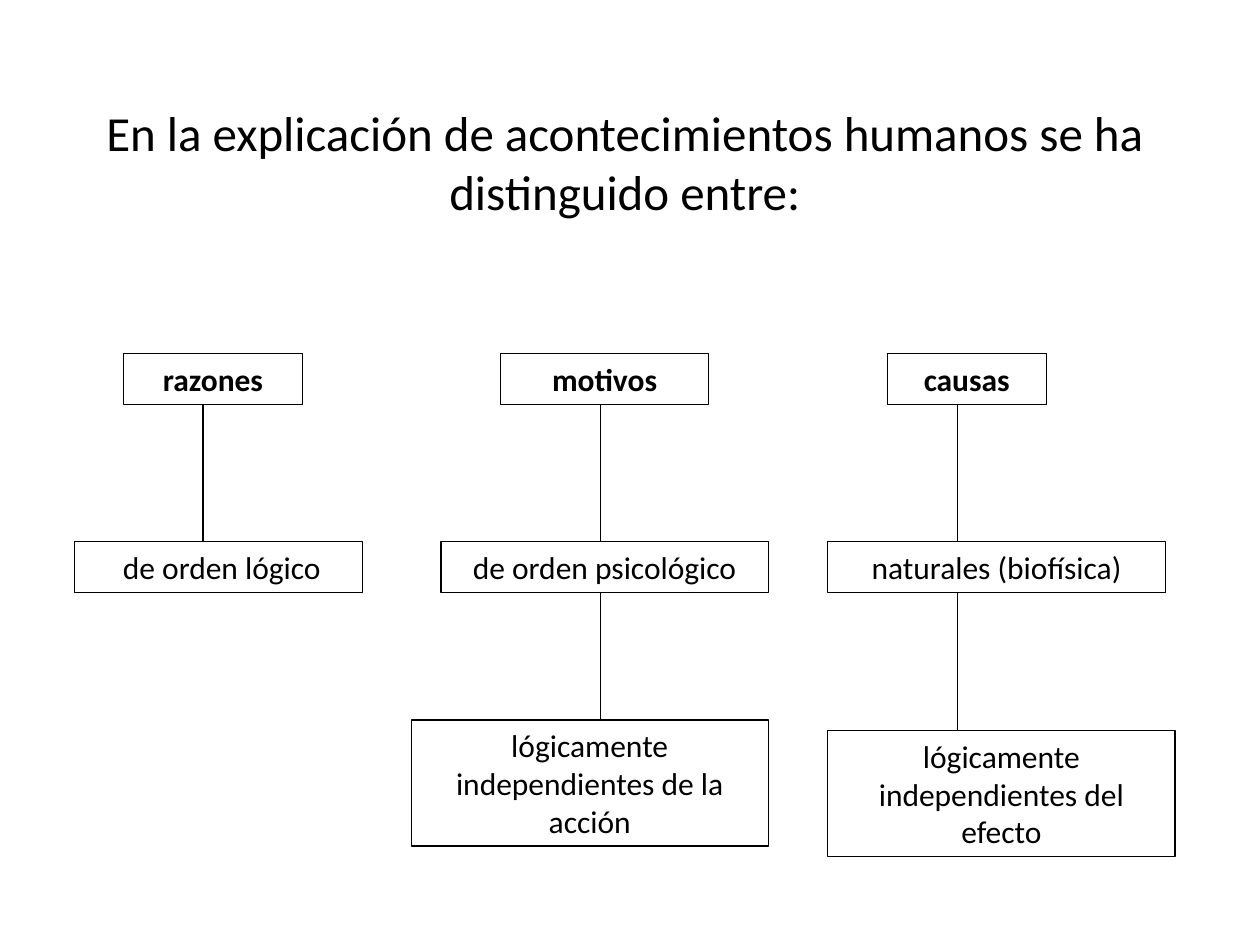
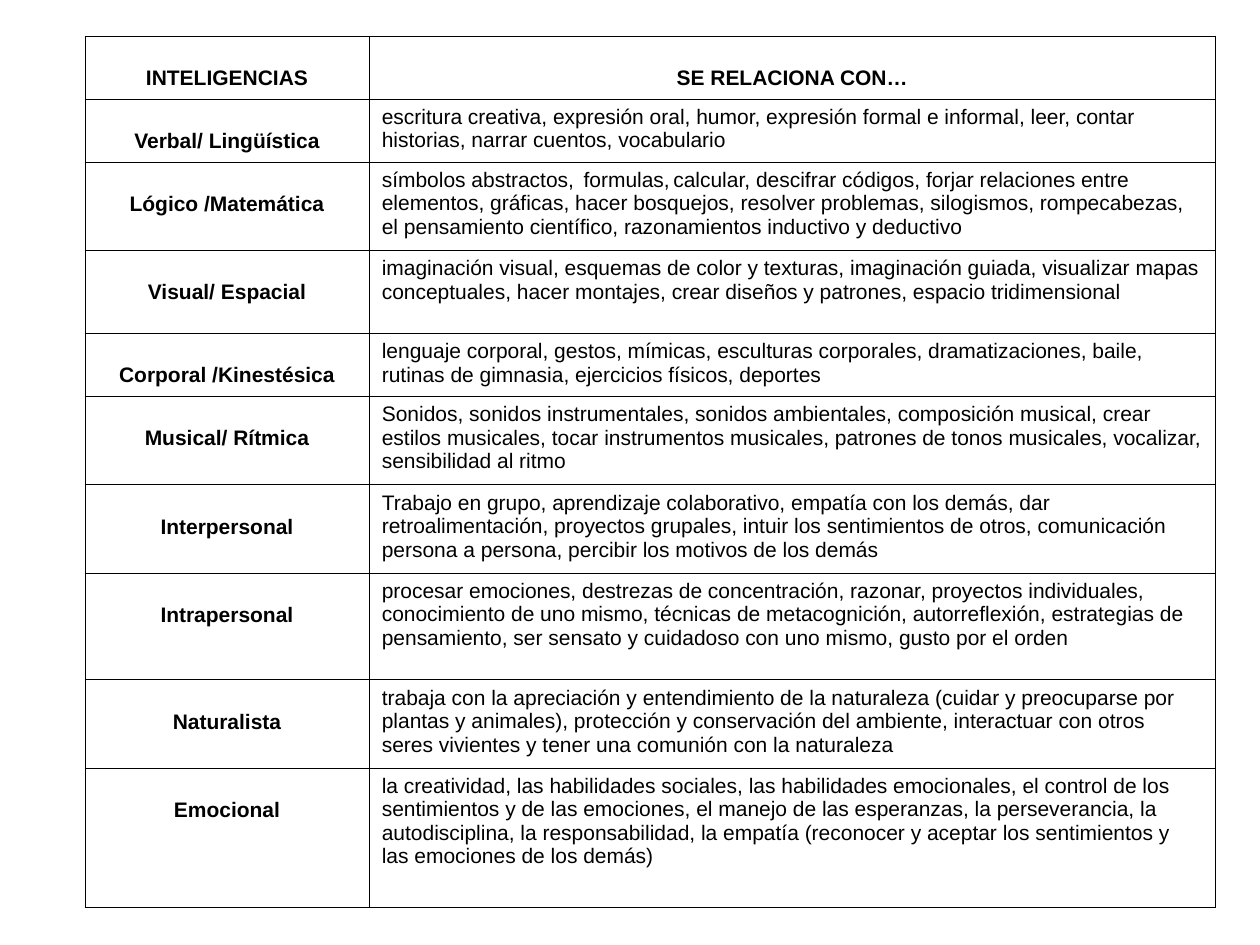
from dataclasses import dataclass
from itertools import pairwise

from lxml import etree
from pptx import Presentation
from pptx import util as u
from pptx.dml import color
from pptx.enum import shapes, text
from pptx.oxml import ns

Pt = u.Pt


@dataclass(frozen=True)
class Theme:
    ink: color.RGBColor = color.RGBColor(0, 0, 0)
    paper: color.RGBColor = color.RGBColor(255, 255, 255)
    diagram_font: str = "Calibri"
    table_font: str = "Arial"
    title_size: float = 28
    box_size: float = 18
    cell_size: float = 12
    gap_size: float = 7
    line: float = 0.75
    border: float = 0.45
    pad_x: float = 7.2
    pad_y: float = 3.6
    label_drop: float = 13.8


THEME = Theme()
CENTER = text.PP_ALIGN.CENTER
LEFT = text.PP_ALIGN.LEFT

COLUMNS = [
    (116, [("razones", 70.5, 202, 102.5, 29),
           (" de orden lógico", 42.5, 309.5, 164.5, 29)]),
    (343, [("motivos", 286, 202, 119, 29),
           ("de orden psicológico", 252, 309.5, 187, 29),
           ("lógicamente independientes de la acción", 235, 411.5, 204, 72)]),
    (547, [("causas", 507, 202, 91, 29),
           ("naturales (biofísica)", 473, 309.5, 193, 29),
           ("lógicamente independientes del efecto", 473, 417.5, 198.5, 72)]),
]

INTELLIGENCES = [
    (36, "INTELIGENCIAS", "SE RELACIONA CON…"),
    (36, "Verbal/ Lingüística",
     "escritura creativa, expresión oral, humor, expresión formal e informal, leer, "
     "contar historias, narrar cuentos, vocabulario"),
    (50.5, "Lógico /Matemática",
     ["símbolos abstractos, ", (" ", THEME.gap_size), "formulas,", (" ", THEME.gap_size),
      "calcular, descifrar códigos, forjar relaciones entre elementos, gráficas, "
      "hacer bosquejos, resolver problemas, silogismos, rompecabezas, "
      "el pensamiento científico, razonamientos inductivo y deductivo"]),
    (47.5, "Visual/ Espacial",
     "imaginación visual, esquemas de color y texturas, imaginación guiada, "
     "visualizar mapas conceptuales, hacer montajes, crear diseños y patrones, "
     "espacio tridimensional"),
    (36, "Corporal /Kinestésica",
     "lenguaje corporal, gestos, mímicas, esculturas corporales, dramatizaciones, "
     "baile, rutinas de gimnasia, ejercicios físicos, deportes"),
    (50.5, "Musical/ Rítmica",
     "Sonidos, sonidos instrumentales, sonidos ambientales, composición musical, "
     "crear estilos musicales, tocar instrumentos musicales, patrones de tonos "
     "musicales, vocalizar, sensibilidad al ritmo"),
    (50.5, "Interpersonal",
     "Trabajo en grupo, aprendizaje colaborativo, empatía con los demás, dar "
     "retroalimentación, proyectos grupales, intuir los sentimientos de otros, "
     "comunicación persona a persona, percibir los motivos de los demás"),
    (61, "Intrapersonal",
     "procesar emociones, destrezas de concentración, razonar, proyectos individuales, "
     "conocimiento de uno mismo, técnicas de metacognición, autorreflexión, estrategias "
     "de pensamiento, ser sensato y cuidadoso con uno mismo, gusto por el orden"),
    (50.5, "Naturalista",
     "trabaja con la apreciación y entendimiento de la naturaleza (cuidar y preocuparse "
     "por plantas y animales), protección y conservación del ambiente, interactuar con "
     "otros seres vivientes y tener una comunión con la naturaleza"),
    (79.5, "Emocional",
     "la creatividad, las habilidades sociales, las habilidades emocionales, el control "
     "de los sentimientos y de las emociones, el manejo de las esperanzas, la "
     "perseverancia, la autodisciplina, la responsabilidad, la empatía (reconocer y "
     "aceptar los sentimientos y las emociones de los demás)"),
]


def write(tf, content, *, font, size, bold=False, align=CENTER):
    p = tf.paragraphs[0]
    p.alignment = align
    for part in [content] if isinstance(content, str) else content:
        words, part_size = (part, size) if isinstance(part, str) else part
        r = p.add_run()
        r.text = words
        r.font.name = font
        r.font.size = Pt(part_size)
        r.font.bold = bold
        r.font.color.rgb = THEME.ink


class Deck:
    def __init__(self, theme):
        self.theme = theme
        self.prs = Presentation()
        self.prs.slide_width, self.prs.slide_height = Pt(720), Pt(540)
        self.s = None

    def slide(self, layout):
        self.s = self.prs.slides.add_slide(self.prs.slide_layouts.get_by_name(layout))
        self.s.background.fill.solid()
        self.s.background.fill.fore_color.rgb = self.theme.paper

    def frame(self, sp):
        tf = sp.text_frame
        tf.word_wrap = True
        tf.auto_size = text.MSO_AUTO_SIZE.NONE
        tf.vertical_anchor = text.MSO_ANCHOR.TOP
        tf.margin_left = tf.margin_right = Pt(self.theme.pad_x)
        tf.margin_top = tf.margin_bottom = Pt(self.theme.pad_y)
        return tf

    def title(self, words, left, top, width, height):
        sp = self.s.shapes.title
        sp.left, sp.top, sp.width, sp.height = map(Pt, (left, top, width, height))
        write(self.frame(sp), words, font=self.theme.diagram_font, size=self.theme.title_size)

    def box(self, words, left, top, width, height, bold=False):
        sp = self.s.shapes.add_shape(
            shapes.MSO_SHAPE.RECTANGLE, *map(Pt, (left, top, width, height)))
        sp.shadow.inherit = False
        sp.fill.background()
        sp.line.color.rgb = self.theme.ink
        sp.line.width = Pt(self.theme.line)
        write(self.frame(sp), words, font=self.theme.diagram_font,
              size=self.theme.box_size, bold=bold)

    def stem(self, x, top, bottom):
        sp = self.s.shapes.add_connector(
            shapes.MSO_CONNECTOR.STRAIGHT, *map(Pt, (x, top, x, bottom)))
        sp.line.color.rgb = self.theme.ink
        sp.line.width = Pt(self.theme.line)
        etree.SubElement(sp._element.spPr, ns.qn("a:effectLst"))

    def cell_borders(self, cell):
        tc_pr = cell._tc.get_or_add_tcPr()
        for side in "LRTB":
            ln = etree.SubElement(tc_pr, ns.qn(f"a:ln{side}"), w=str(Pt(self.theme.border)))
            fill = etree.SubElement(ln, ns.qn("a:solidFill"))
            etree.SubElement(fill, ns.qn("a:srgbClr"), val=str(self.theme.ink))

    def cell(self, cell, content, label):
        self.cell_borders(cell)
        cell.fill.background()
        cell.vertical_anchor = text.MSO_ANCHOR.TOP
        cell.margin_left = cell.margin_right = Pt(self.theme.pad_x)
        cell.margin_top = Pt(self.theme.pad_y + (self.theme.label_drop if label else 0))
        cell.margin_bottom = Pt(self.theme.pad_y)
        write(cell.text_frame, content, font=self.theme.table_font,
              size=self.theme.cell_size, bold=label, align=CENTER if label else LEFT)

    def table(self, rows, left, top, widths):
        height = sum(row[0] for row in rows)
        tbl = self.s.shapes.add_table(
            len(rows), len(widths), *map(Pt, (left, top, sum(widths), height))).table
        tbl.first_row = tbl.horz_banding = False
        for column, width in zip(tbl.columns, widths):
            column.width = Pt(width)
        for i, (row_height, *contents) in enumerate(rows):
            tbl.rows[i].height = Pt(row_height)
            for j, content in enumerate(contents):
                self.cell(tbl.cell(i, j), content, label=i == 0 or j == 0)


def main():
    deck = Deck(THEME)

    deck.slide("Title Only")
    deck.title("En la explicación de acontecimientos humanos se ha distinguido entre:",
               48, 55, 618, 75)
    for axis, boxes in COLUMNS:
        for i, box in enumerate(boxes):
            deck.box(*box, bold=i == 0)
        for (_, _, top, _, height), (_, _, next_top, _, _) in pairwise(boxes):
            deck.stem(axis, top + height, next_top)

    deck.slide("Blank")
    deck.table(INTELLIGENCES, 48.5, 20.5, (162.5, 483.5))

    deck.prs.save("out.pptx")


if __name__ == "__main__":
    main()
